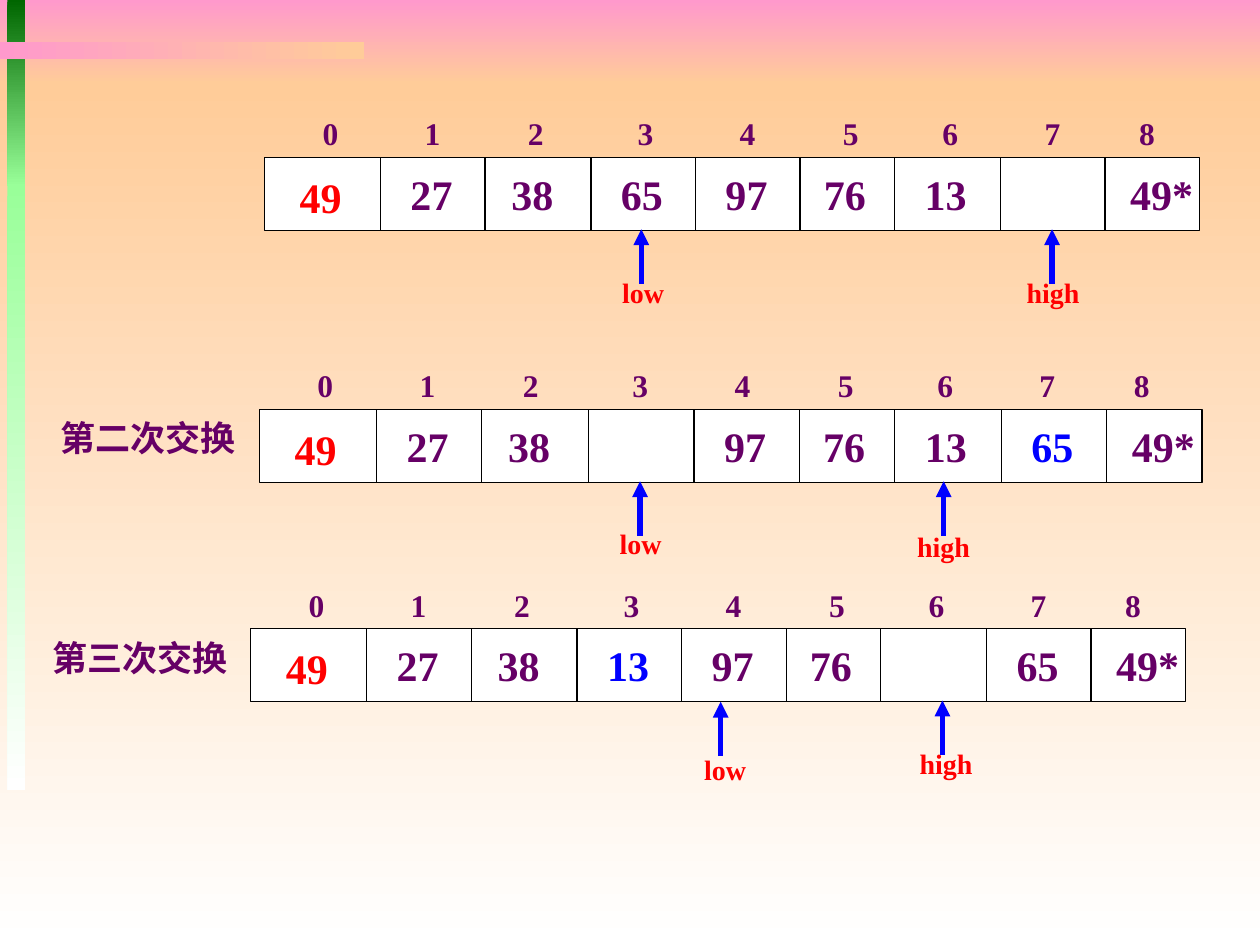
"""Build a slide tracing three array states of a quicksort partition."""
import pptx
import pptx.dml.color
import pptx.enum.shapes
import pptx.enum.text
import pptx.oxml
import pptx.oxml.ns
import pptx.util
from pptx.util import Inches

RGB = pptx.dml.color.RGBColor
PURPLE = RGB(0x66, 0x00, 0x66)
RED = RGB(0xFF, 0x00, 0x00)
BLUE = RGB(0x00, 0x00, 0xFF)
BLACK = RGB(0x00, 0x00, 0x00)
WHITE = RGB(0xFF, 0xFF, 0xFF)
PINK = RGB(0xFF, 0x99, 0xCC)
PEACH = RGB(0xFF, 0xCC, 0x99)
GREEN = RGB(0x00, 0x66, 0x00)
LIME = RGB(0x99, 0xFF, 0x99)
FONT = "Times New Roman"

BACKDROP = [
    ((0, 0, 10, 0.67), PINK, PEACH, 270),
    ((0, 0.67, 10, 6.83), PEACH, WHITE, 270),
    ((0.06, 0, 0.14, 1.48), GREEN, LIME, 270),
    ((0.06, 1.46, 0.14, 4.81), LIME, WHITE, 270),
    ((0, 0.33, 2.89, 0.14), PINK, PEACH, 0),
]

ROWS = [
    {"left": 2.1, "top": 1.25, "width": 7.42, "label": None, "moved": None,
     "values": ["27", "38", "65", "97", "76", "13", "", "49*"],
     "markers": [("low", 5.09, 1.82, 4.84, 2.14),
                 ("high", 8.35, 1.82, 8.05, 2.14)]},
    {"left": 2.06, "top": 3.25, "width": 7.48, "moved": "65",
     "label": ("第二次交换", 0.38),
     "values": ["27", "38", "", "97", "76", "13", "65", "49*"],
     "markers": [("low", 5.08, 3.82, 4.82, 4.13),
                 ("high", 7.49, 3.82, 7.18, 4.15)]},
    {"left": 1.99, "top": 4.99, "width": 7.42, "moved": "13",
     "label": ("第三次交换", 0.32),
     "values": ["27", "38", "13", "97", "76", "", "65", "49*"],
     "markers": [("low", 5.72, 5.57, 5.49, 5.92),
                 ("high", 7.48, 5.56, 7.2, 5.88)]},
]

BASE_WIDTH = 7.42
ROW_HEIGHT = 0.58
ARROW_LENGTH = 0.43
DIVIDERS = [0.92, 1.75, 2.59, 3.42, 4.25, 5, 5.84, 6.67]
VALUE_BOXES = [(1.06, 0.56), (1.86, 0.61), (2.73, 0.57), (3.56, 0.57),
               (4.34, 0.57), (5.14, 0.56), (5.98, 0.57), (6.77, 0.71)]
INDEX_TABS = [0.81, 1.63, 2.5, 3.31, 4.13, 4.92, 5.73, 6.48]


def add_rect(shapes, box):
    sp = shapes.add_shape(pptx.enum.shapes.MSO_SHAPE.RECTANGLE,
                          *[Inches(v) for v in box])
    sp.shadow.inherit = False
    return sp


def add_text(shapes, box, text, size, color, wrap=True, tabs=()):
    sp = shapes.add_textbox(*[Inches(v) for v in box])
    tf = sp.text_frame
    tf.word_wrap = wrap
    tf.auto_size = pptx.enum.text.MSO_AUTO_SIZE.SHAPE_TO_FIT_TEXT
    p = tf.paragraphs[0]
    if tabs:
        tab_list = pptx.oxml.ns.qn("a:tabLst")
        stops = p._p.get_or_add_pPr().makeelement(tab_list, {})
        p._p.get_or_add_pPr().append(stops)
        for pos in tabs:
            stop = stops.makeelement(pptx.oxml.ns.qn("a:tab"),
                                     {"pos": str(Inches(pos)), "algn": "l"})
            stops.append(stop)
    r = p.add_run()
    r.text = text
    r.font.name = FONT
    r.font.size = pptx.util.Pt(size)
    r.font.bold = True
    r.font.color.rgb = color
    return tf


def add_line(shapes, start, end, color, width, arrow=False):
    line = shapes.add_connector(pptx.enum.shapes.MSO_CONNECTOR.STRAIGHT,
                                *[Inches(v) for v in start + end])
    line.line.color.rgb = color
    line.line.width = pptx.util.Pt(width)
    spPr = line._element.spPr
    if arrow:
        head = spPr.makeelement(pptx.oxml.ns.qn("a:tailEnd"), {"type": "triangle"})
        line.line._get_or_add_ln().append(head)
    spPr.append(spPr.makeelement(pptx.oxml.ns.qn("a:effectLst"), {}))


def add_array(slide, row):
    shapes = slide.shapes.add_group_shape().shapes
    left, top, width = row["left"], row["top"], row["width"]
    scale = width / BASE_WIDTH

    frame = add_rect(shapes, (left, top, width, ROW_HEIGHT))
    frame.fill.solid()
    frame.fill.fore_color.rgb = WHITE
    frame.line.color.rgb = BLACK
    frame.line.width = pptx.util.Pt(0.75)
    for offset in DIVIDERS:
        x = left + offset * scale
        add_line(shapes, (x, top), (x, top + ROW_HEIGHT), BLACK, 0.75)

    indexes = "\t".join(str(i) for i in range(9))
    tf = add_text(shapes, (left + 0.24, top - 0.39, 6.94 * scale, 0.4),
                  indexes, 18, PURPLE, tabs=INDEX_TABS)
    tf.margin_left = Inches(0.22)

    for value, (offset, box_width) in zip(row["values"], VALUE_BOXES):
        if value:
            color = BLUE if value == row["moved"] else PURPLE
            add_text(shapes, (left + offset * scale, top + 0.04, box_width, 0.5),
                     value, 24, color)
    if row["label"]:
        text, x = row["label"]
        add_text(shapes, (x, top + 0.01, 1.6, 0.44), text, 20, PURPLE, wrap=False)
    for name, x, tip, text_left, text_top in row["markers"]:
        box_width = 0.53 if name == "low" else 0.62
        add_text(shapes, (text_left, text_top, box_width, 0.37), name, 16, RED,
                 wrap=False)
        add_line(shapes, (x, tip + ARROW_LENGTH), (x, tip), BLUE, 3, arrow=True)
    add_text(shapes, (left + 0.18, top + 0.06, 0.53, 0.5), "49", 24, RED, wrap=False)


def main():
    prs = pptx.Presentation()
    prs.slide_width, prs.slide_height = Inches(10), Inches(7.5)
    slide = prs.slides.add_slide(prs.slide_layouts[6])
    for box, first, last, angle in BACKDROP:
        sp = add_rect(slide.shapes, box)
        sp.line.fill.background()
        sp.fill.gradient()
        sp.fill.gradient_angle = angle
        for stop, color, position in zip(sp.fill.gradient_stops, (first, last), (0, 1)):
            stop.color.rgb = color
            stop.position = position
    for row in ROWS:
        add_array(slide, row)
    prs.save("out.pptx")


if __name__ == "__main__":
    main()
